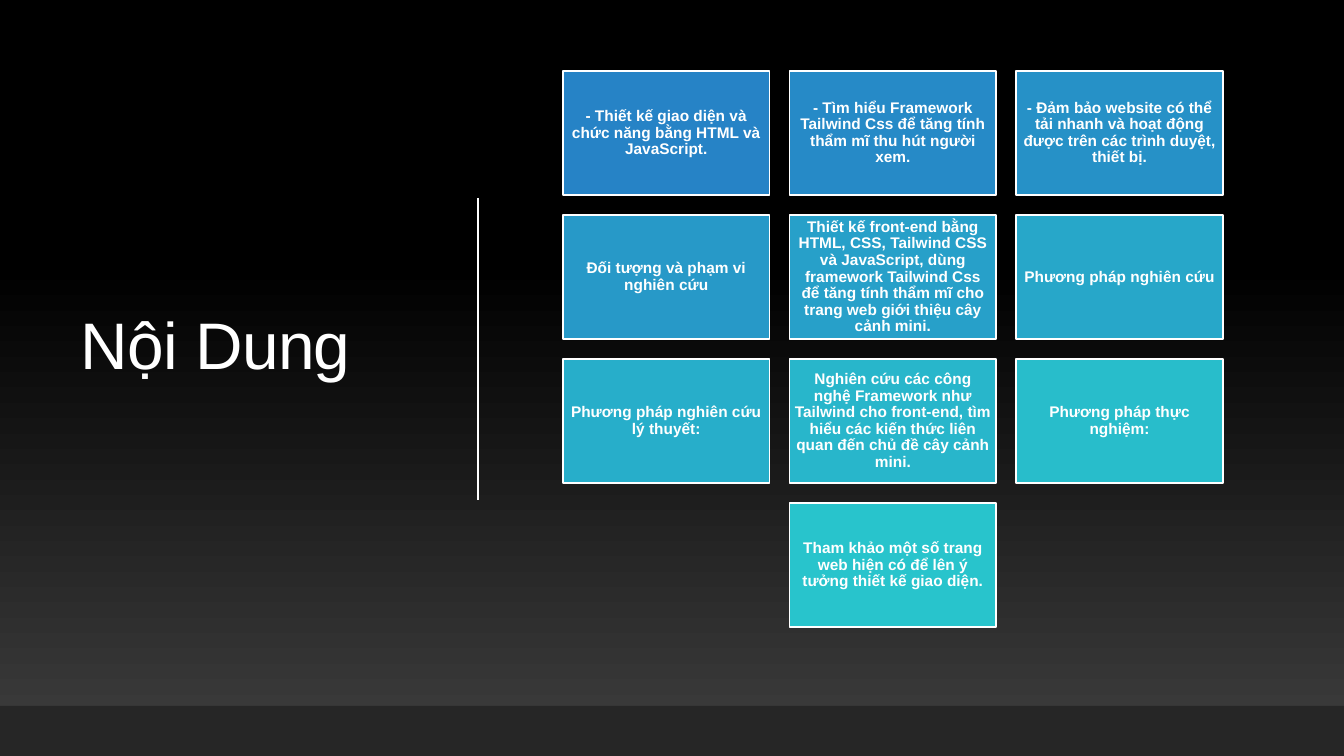
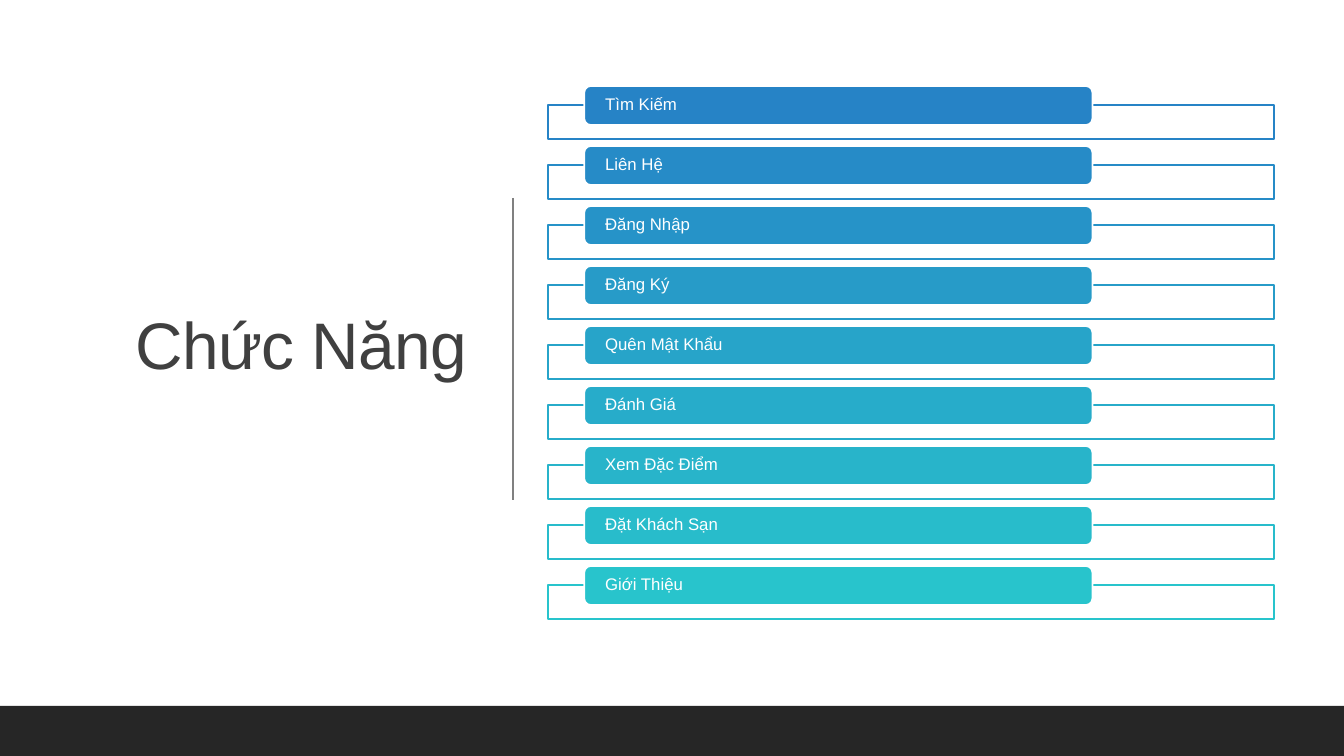
import pptx
import pptx.util
import pptx.dml.color
import pptx.enum.shapes
import pptx.enum.text
import pptx.oxml.ns
import lxml.etree

EMU_PER_PX = 914400 / 100.8
PAGE_WIDTH, PAGE_HEIGHT = 1344, 756
FONT = "Arial"
WHITE, BLACK, CHARCOAL = "FFFFFF", "000000", "3F3F3F"
TITLE_GREY, RULE_GREY, BAND = "404040", "808080", "262626"
FIRST_BLUE, LAST_TEAL = "2683C6", "28C4CC"
SHAPE = pptx.enum.shapes.MSO_SHAPE
ALIGN = pptx.enum.text.PP_ALIGN

TOPICS = [
    "- Thiết kế giao diện và chức năng bằng HTML và JavaScript.",
    "- Tìm hiểu Framework Tailwind Css để tăng tính thẩm mĩ thu hút người xem.",
    "- Đảm bảo website có thể tải nhanh và hoạt động được trên các trình duyệt, thiết bị.",
    "Đối tượng và phạm vi nghiên cứu",
    "Thiết kế front-end bằng HTML, CSS, Tailwind CSS và JavaScript, dùng framework "
    "Tailwind Css để tăng tính thẩm mĩ cho trang web giới thiệu cây cảnh mini.",
    "Phương pháp nghiên cứu",
    "Phương pháp nghiên cứu lý thuyết:",
    "Nghiên cứu các công nghệ Framework như Tailwind cho front-end, tìm hiểu các "
    "kiến thức liên quan đến chủ đề cây cảnh mini.",
    "Phương pháp thực nghiệm:",
    "Tham khảo một số trang web hiện có để lên ý tưởng thiết kế giao diện.",
]
FEATURES = [
    "Tìm Kiếm", "Liên Hệ", "Đăng Nhập", "Đăng Ký", "Quên Mật Khẩu",
    "Đánh Giá", "Xem Đặc Điểm", "Đặt Khách Sạn", "Giới Thiệu",
]


def px(length):
    """Turn pixels into EMU."""
    return pptx.util.Emu(round(length * EMU_PER_PX))


def color(value):
    """Turn a hex string into a colour."""
    return pptx.dml.color.RGBColor.from_string(value)


def ramp(count):
    """Return evenly spaced colours from the first blue to the last teal."""
    ends = list(zip(color(FIRST_BLUE), color(LAST_TEAL)))
    return [
        "".join(f"{round(a + (b - a) * step / (count - 1)):02X}" for a, b in ends)
        for step in range(count)
    ]


def add_block(page, kind, box, fill, line=None):
    """Add a flat preset shape in a (left, top, width, height) box."""
    block = page.shapes.add_shape(kind, *map(px, box))
    block.shadow.inherit = False
    block.fill.solid()
    block.fill.fore_color.rgb = color(fill)
    if line:
        block.line.color.rgb = color(line)
        block.line.width = pptx.util.Pt(1.25)
    else:
        block.line.fill.background()
    return block


def write(shape, text, size, ink, align, insets, bold=False):
    """Write one vertically centred paragraph and return its run."""
    frame = shape.text_frame
    frame.word_wrap = True
    frame.vertical_anchor = pptx.enum.text.MSO_ANCHOR.MIDDLE
    side, end = map(px, insets)
    frame.margin_left = frame.margin_right = side
    frame.margin_top = frame.margin_bottom = end
    para = frame.paragraphs[0]
    para.alignment = align
    para.line_spacing = 0.9
    span = para.add_run()
    span.text = text
    span.font.name = FONT
    span.font.size = pptx.util.Pt(size)
    span.font.bold = bold
    span.font.color.rgb = color(ink)
    return span


def add_title_panel(page, box, title, ink, align, rule_color):
    """Add the title in its box, the upright rule beside it and the bottom band."""
    left, top, width, height = box
    holder = page.shapes.add_textbox(*map(px, box))
    span = write(holder, title, 47, ink, align, (10, 5))
    span.font._element.set("spc", "-50")
    rule_x, rule_top = left + width + 36, top + 128
    rule = page.shapes.add_connector(
        pptx.enum.shapes.MSO_CONNECTOR.STRAIGHT,
        px(rule_x), px(rule_top), px(rule_x), px(rule_top + 302),
    )
    rule.line.color.rgb = color(rule_color)
    rule.line.width = pptx.util.Pt(1)
    lxml.etree.SubElement(rule._element.spPr, pptx.oxml.ns.qn("a:effectLst"))
    add_block(page, SHAPE.RECTANGLE, (0, 706, PAGE_WIDTH, PAGE_HEIGHT - 706), BAND)


def add_topic_grid(page, box, topics, columns=3):
    """Fill the box with rows of cards, each row centred."""
    left, top, width, height = box
    gap = 20
    rows = -(-len(topics) // columns)
    card_width = (width - gap * (columns - 1)) / columns
    card_height = (height - gap * (rows - 1)) / rows
    for index, (topic, fill) in enumerate(zip(topics, ramp(len(topics)))):
        row, column = divmod(index, columns)
        in_row = min(columns, len(topics) - row * columns)
        indent = (columns - in_row) * (card_width + gap) / 2
        card = add_block(
            page, SHAPE.RECTANGLE,
            (left + indent + column * (card_width + gap),
             top + row * (card_height + gap), card_width, card_height),
            fill, WHITE,
        )
        write(card, topic, 11, WHITE, ALIGN.CENTER, (5, 5), bold=True)


def add_feature_list(page, box, features):
    """Stack outlined frames down the box, each with a label pill on its top edge."""
    left, top, width, height = box
    pill_height, frame_height, drop = 39, 34, 19
    pitch = (height - drop - frame_height) / (len(features) - 1)
    for index, (feature, tint) in enumerate(zip(features, ramp(len(features)))):
        row_top = top + index * pitch
        frame = add_block(
            page, SHAPE.RECTANGLE, (left, row_top + drop, width, frame_height), WHITE, tint
        )
        paint = frame._element.spPr.find(".//" + pptx.oxml.ns.qn("a:srgbClr"))
        lxml.etree.SubElement(paint, pptx.oxml.ns.qn("a:alpha"), val="90000")
        pill = add_block(
            page, SHAPE.ROUNDED_RECTANGLE,
            (left + width * 0.05, row_top, width * 0.7, pill_height), tint, WHITE,
        )
        write(pill, feature, 12, WHITE, ALIGN.LEFT, (19, 0))


def build_contents(page):
    """Build the dark contents slide."""
    fill = page.background.fill
    fill.gradient()
    fill.gradient_angle = 90
    for stop, (position, tone) in zip(fill.gradient_stops, [(0, CHARCOAL), (0.65, BLACK)]):
        stop.position = position
        stop.color.rgb = color(tone)
    add_title_panel(page, (71, 70, 371, 557), "Nội Dung", WHITE, ALIGN.LEFT, WHITE)
    add_topic_grid(page, (563, 71, 660, 556), TOPICS)


def build_features(page):
    """Build the white features slide."""
    page.background.fill.solid()
    page.background.fill.fore_color.rgb = color(WHITE)
    add_title_panel(page, (71, 70, 406, 557), "Chức Năng", TITLE_GREY, ALIGN.RIGHT, RULE_GREY)
    add_feature_list(page, (548, 86, 726, 533), FEATURES)


def main():
    """Build and save the deck."""
    deck = pptx.Presentation()
    deck.slide_width, deck.slide_height = px(PAGE_WIDTH), px(PAGE_HEIGHT)
    for build in (build_contents, build_features):
        build(deck.slides.add_slide(deck.slide_layouts[6]))
    deck.save("out.pptx")


if __name__ == "__main__":
    main()
